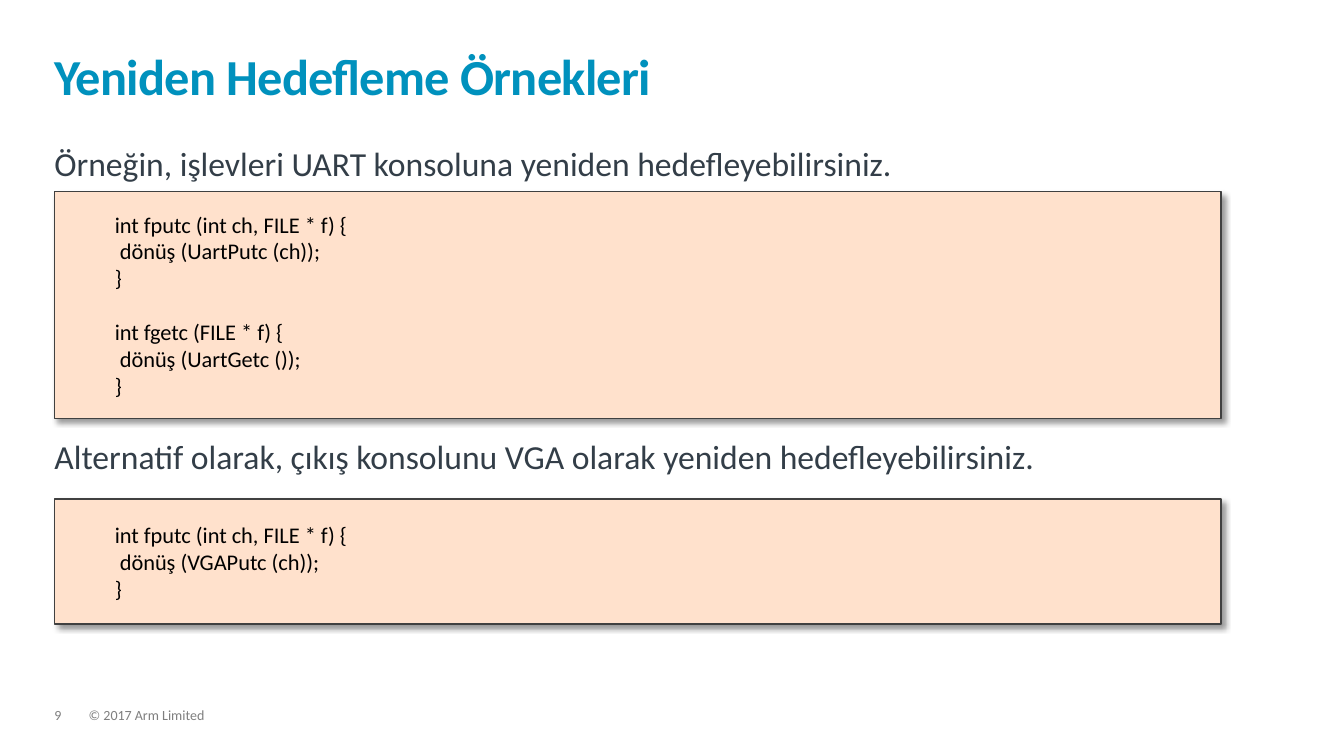
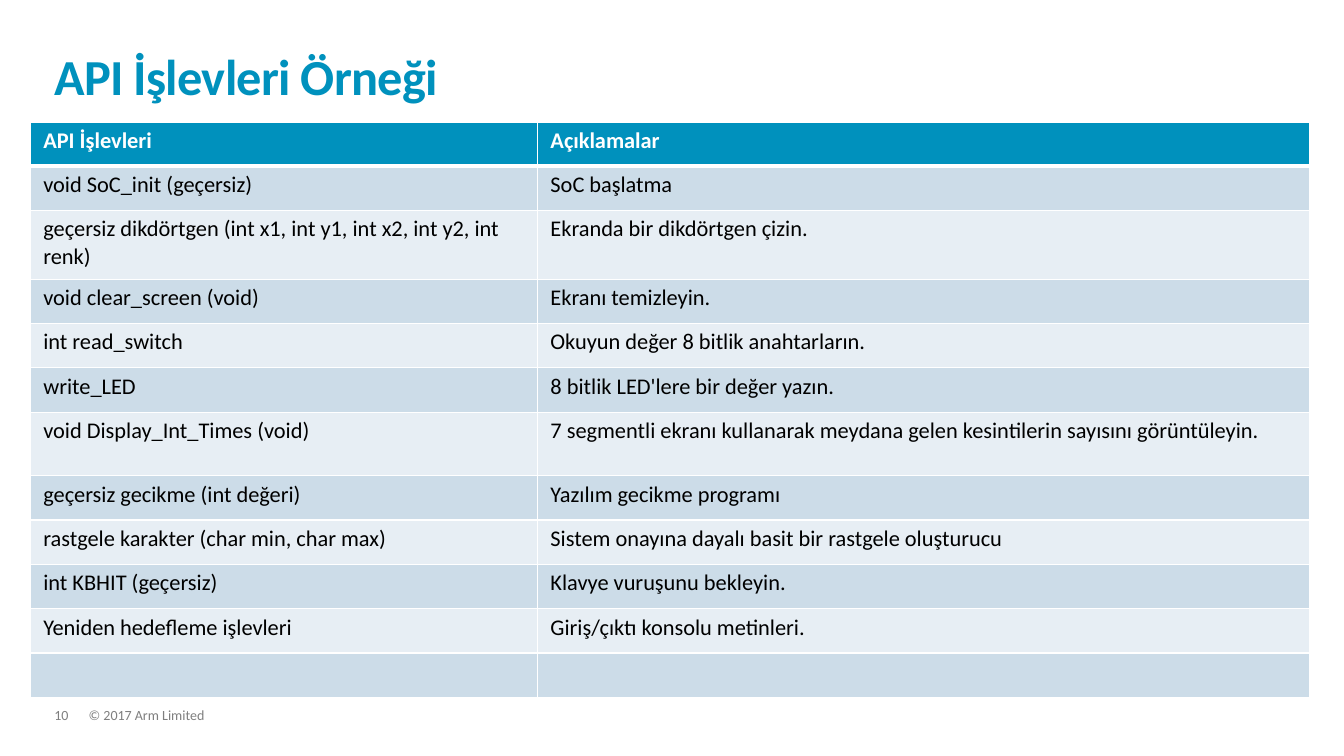
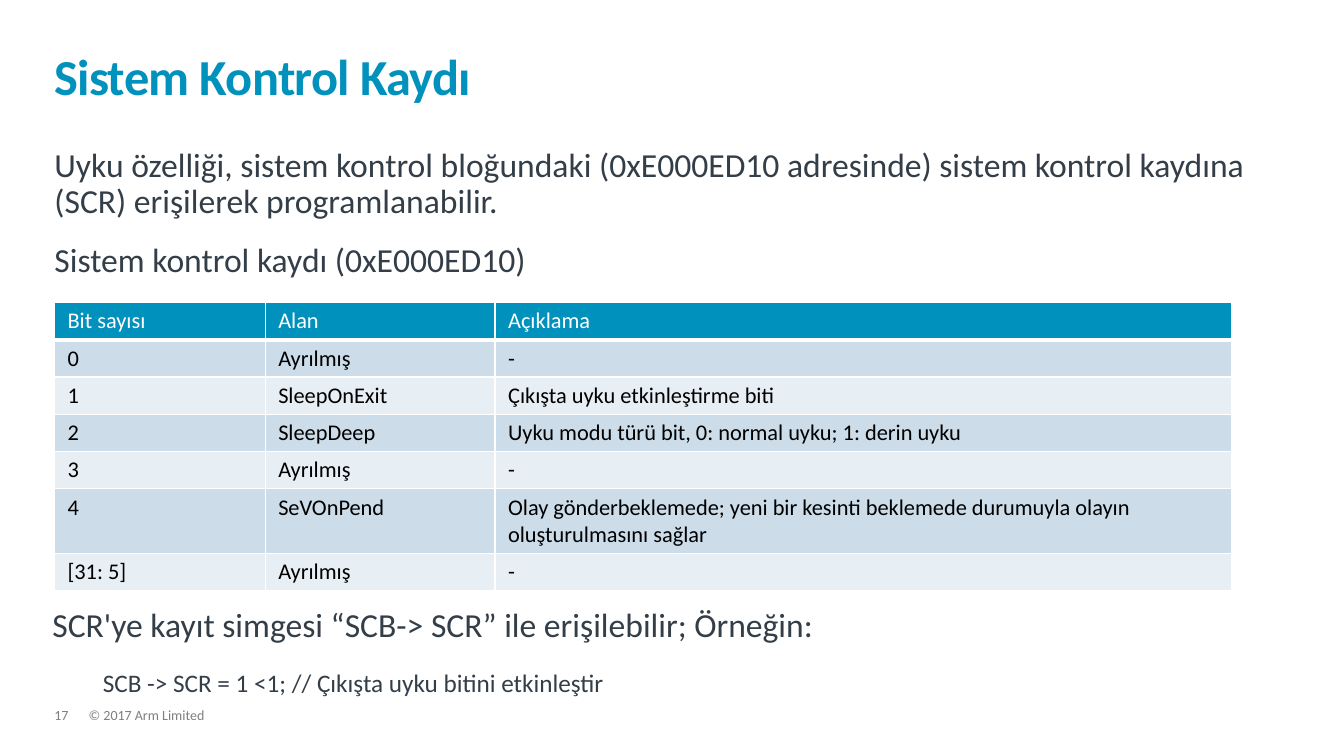
"""Builds three lecture slides on retargeting, API functions and the system control register."""
from lxml.etree import SubElement
from pptx import Presentation
from pptx.dml.color import RGBColor
from pptx.enum.shapes import MSO_SHAPE
from pptx.enum.text import MSO_ANCHOR, PP_ALIGN
from pptx.oxml.ns import qn
from pptx.util import Inches, Pt


def rgb(value):
    """Turn a hex string into a colour."""
    return RGBColor.from_string(value)


def write(p, text, size=16, color="000000", bold=False, line=1.0,
          before=0, after=0, indent=0, spacing=0):
    """Fill a paragraph with one formatted run."""
    p.alignment = PP_ALIGN.LEFT
    p.line_spacing = line
    p.space_before, p.space_after = Pt(before), Pt(after)
    if indent:
        p._p.get_or_add_pPr().set("marL", str(Inches(indent)))
    r = p.add_run()
    r.text = text
    r.font.name, r.font.size, r.font.bold = "Calibri", Pt(size), bold
    r.font.color.rgb = rgb(color)
    if spacing:
        r._r.get_or_add_rPr().set("spc", str(round(spacing * 100)))


class Deck:
    """Holds the shared style and the slide being built."""

    ACCENT, BODY, GREY, WHITE = "0091BD", "333E48", "7F7F7F", "FFFFFF"
    CODE_FILL, CODE_LINE = "FFE1CC", "404040"
    BANDS = ("CCDCE8", "E7EEF4")
    LEFT, WIDTH = 0.54, 12.23

    def __init__(self):
        """Start an empty widescreen presentation."""
        self.prs = Presentation()
        self.prs.slide_width, self.prs.slide_height = Inches(13.33), Inches(7.5)

    def slide(self, number, title):
        """Add a slide with its footer and title."""
        self.s = self.prs.slides.add_slide(self.prs.slide_layouts[6])
        footer = dict(size=10, color=self.GREY, line=0.9)
        write(self.box(0.88, 7.03, 9.13, 0.15).paragraphs[0], "© 2017 Arm Limited", **footer)
        write(self.box(self.LEFT, 7.03, 0.34, 0.15).paragraphs[0], str(number), **footer)
        tf = self.box(self.LEFT, 0.32, self.WIDTH, 0.73)
        tf.vertical_anchor = MSO_ANCHOR.BOTTOM
        write(tf.paragraphs[0], title, size=36, color=self.ACCENT, bold=True,
              line=0.85, spacing=-0.5)

    def box(self, x, y, w, h):
        """Add a wrapping text box without margins."""
        tf = self.s.shapes.add_textbox(Inches(x), Inches(y), Inches(w), Inches(h)).text_frame
        tf.word_wrap = True
        tf.margin_left = tf.margin_right = tf.margin_top = tf.margin_bottom = 0
        return tf

    def body(self, y, h, *lines, x=LEFT):
        """Add body paragraphs and return their frame."""
        tf = self.box(x, y, self.WIDTH, h)
        for i, text in enumerate(lines):
            p = tf.add_paragraph() if i else tf.paragraphs[0]
            write(p, text, size=24, color=self.BODY, line=0.9, after=16)
        return tf

    def code(self, y, h, *functions):
        """Add a shadowed panel of code, with a gap between functions."""
        sp = self.s.shapes.add_shape(MSO_SHAPE.RECTANGLE, Inches(self.LEFT), Inches(y),
                                     Inches(11.57), Inches(h))
        sp.fill.solid()
        sp.fill.fore_color.rgb = rgb(self.CODE_FILL)
        sp.line.color.rgb = rgb(self.CODE_LINE)
        sp.line.width = Pt(1)
        self.drop_shadow(sp)
        tf = sp.text_frame
        tf.word_wrap = True
        tf.vertical_anchor = MSO_ANCHOR.MIDDLE
        p = tf.paragraphs[0]
        for i, lines in enumerate(functions):
            for j, text in enumerate(lines):
                if i or j:
                    p = tf.add_paragraph()
                write(p, text, indent=0.5, before=19.5 if i and not j else 0)

    def drop_shadow(self, sp):
        """Give a shape a soft shadow to the lower right."""
        sp.shadow.inherit = False
        effects = sp._element.spPr.find(qn("a:effectLst"))
        outer = SubElement(effects, qn("a:outerShdw"), blurRad=str(Pt(4)), dist=str(Pt(3)),
                           dir=str(45 * 60000), algn="tl", rotWithShape="0")
        color = SubElement(outer, qn("a:srgbClr"), val="000000")
        SubElement(color, qn("a:alpha"), val="40000")

    def borders(self, cell, top, bottom):
        """Draw white borders around a cell."""
        tcPr = cell._tc.get_or_add_tcPr()
        for side, width in (("L", 1), ("R", 1), ("T", top), ("B", bottom)):
            ln = SubElement(tcPr, qn("a:ln" + side), w=str(Pt(width)))
            fill = SubElement(ln, qn("a:solidFill"))
            SubElement(fill, qn("a:srgbClr"), val=self.WHITE)

    def table(self, x, y, widths, heights, rows, bold_header=False):
        """Add a banded table with a coloured header row."""
        table = self.s.shapes.add_table(len(rows), len(widths), Inches(x), Inches(y),
                                        Inches(sum(widths)), Inches(sum(heights))).table
        for column, width in zip(table.columns, widths):
            column.width = Inches(width)
        for i, (row, height, texts) in enumerate(zip(table.rows, heights, rows)):
            row.height = Inches(height)
            header = i == 0
            for cell, text in zip(row.cells, texts):
                cell.margin_left = cell.margin_right = Inches(0.13)
                cell.margin_top = cell.margin_bottom = Inches(0.05)
                self.borders(cell, 3 if i == 1 else 1, 3 if header else 1)
                cell.fill.solid()
                cell.fill.fore_color.rgb = rgb(self.ACCENT if header else self.BANDS[(i - 1) % 2])
                if text:
                    write(cell.text_frame.paragraphs[0], text, bold=header and bold_header,
                          color=self.WHITE if header else "000000")


def main():
    """Build and save the slides."""
    deck = Deck()

    deck.slide(9, "Yeniden Hedefleme Örnekleri")
    deck.body(1.46, 0.4, "Örneğin, işlevleri UART konsoluna yeniden hedefleyebilirsiniz.")
    deck.body(4.37, 0.4,
              "Alternatif olarak, çıkış konsolunu VGA olarak yeniden hedefleyebilirsiniz.")
    deck.code(1.9, 2.25,
              ("int fputc (int ch, FILE * f) {", " dönüş (UartPutc (ch));", "}"),
              ("int fgetc (FILE * f) {", " dönüş (UartGetc ());", "}"))
    deck.code(4.95, 1.24,
              ("int fputc (int ch, FILE * f) {", " dönüş (VGAPutc (ch));", "}"))

    deck.slide(10, "API İşlevleri Örneği")
    api_rows = [
        ("API İşlevleri", "Açıklamalar"),
        ("void SoC_init (geçersiz)", "SoC başlatma"),
        ("geçersiz dikdörtgen (int x1, int y1, int x2, int y2, int renk)",
         "Ekranda bir dikdörtgen çizin."),
        ("void clear_screen (void)", "Ekranı temizleyin."),
        ("int read_switch", "Okuyun değer 8 bitlik anahtarların."),
        ("write_LED", "8 bitlik LED'lere bir değer yazın."),
        ("void Display_Int_Times (void)",
         "7 segmentli ekranı kullanarak meydana gelen kesintilerin sayısını görüntüleyin."),
        ("geçersiz gecikme (int değeri)", "Yazılım gecikme programı"),
        ("rastgele karakter (char min, char max)",
         "Sistem onayına dayalı basit bir rastgele oluşturucu"),
        ("int KBHIT (geçersiz)", "Klavye vuruşunu bekleyin."),
        ("Yeniden hedefleme işlevleri", "Giriş/çıktı konsolu metinleri."),
        ("", ""),
    ]
    api_heights = [{2: 0.68, 6: 0.63}.get(i, 0.44) for i in range(len(api_rows))]
    deck.table(0.3, 1.21, (5.03, 7.66), api_heights, api_rows, bold_header=True)

    deck.slide(17, "Sistem Kontrol Kaydı")
    deck.body(1.47, 1.37,
              "Uyku özelliği, sistem kontrol bloğundaki (0xE000ED10 adresinde) "
              "sistem kontrol kaydına (SCR) erişilerek programlanabilir.",
              "Sistem kontrol kaydı (0xE000ED10)")
    bit_rows = [
        ("Bit sayısı", "Alan", "Açıklama"),
        ("0", "Ayrılmış", "-"),
        ("1", "SleepOnExit", "Çıkışta uyku etkinleştirme biti"),
        ("2", "SleepDeep", "Uyku modu türü bit, 0: normal uyku; 1: derin uyku"),
        ("3", "Ayrılmış", "-"),
        ("4", "SeVOnPend", "Olay gönderbeklemede; yeni bir kesinti beklemede durumuyla "
                           "olayın oluşturulmasını sağlar"),
        ("[31: 5]", "Ayrılmış", "-"),
    ]
    bit_heights = [0.64 if i == 5 else 0.37 for i in range(len(bit_rows))]
    deck.table(deck.LEFT, 3, (2.09, 2.28, 7.31), bit_heights, bit_rows)
    tf = deck.body(6.04, 0.89, "SCR'ye kayıt simgesi “SCB-> SCR” ile erişilebilir; Örneğin:",
                   x=0.52)
    write(tf.add_paragraph(), "SCB -> SCR = 1 <1; // Çıkışta uyku bitini etkinleştir",
          size=18, color=deck.BODY, indent=0.5)

    deck.prs.save("out.pptx")


if __name__ == "__main__":
    main()
